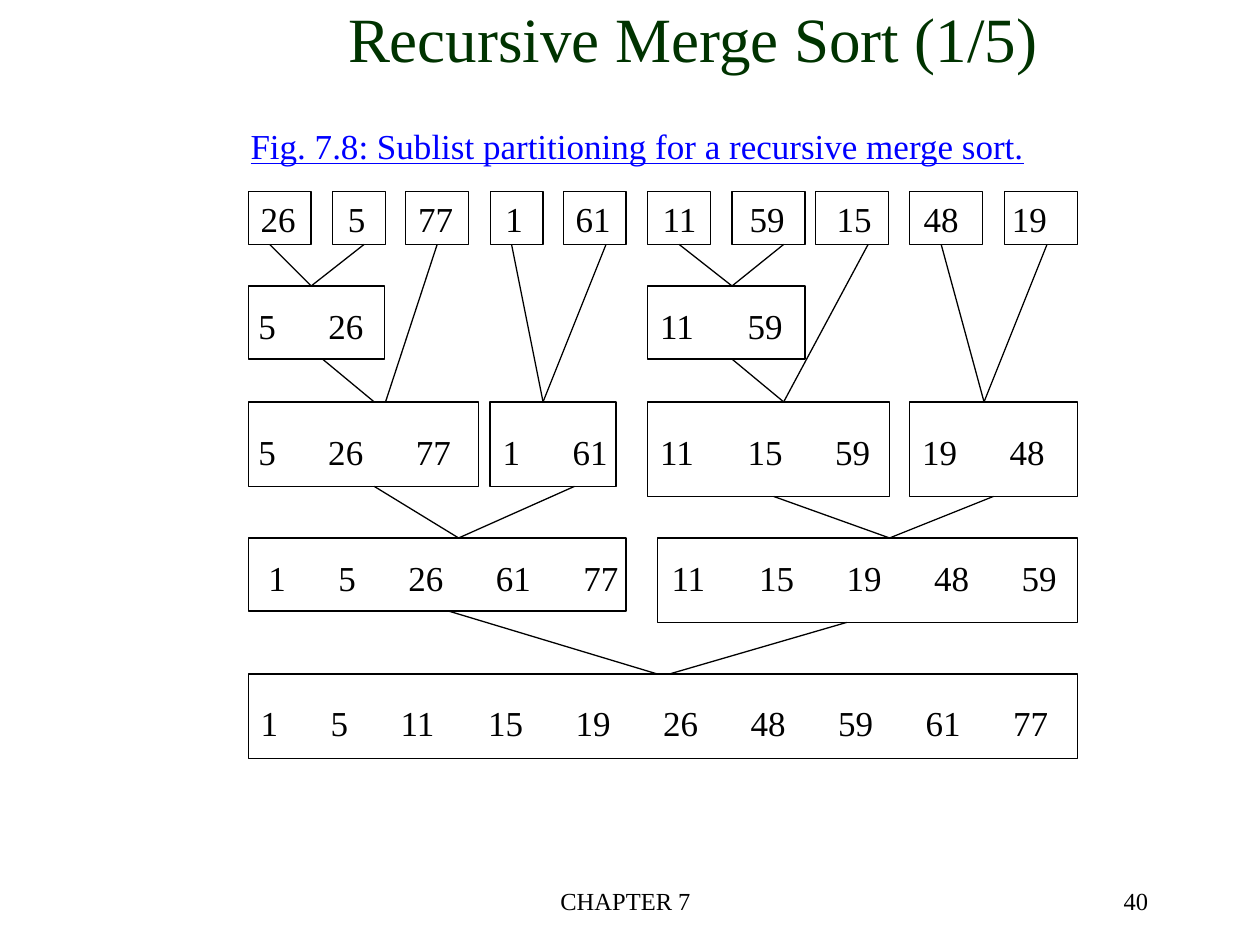
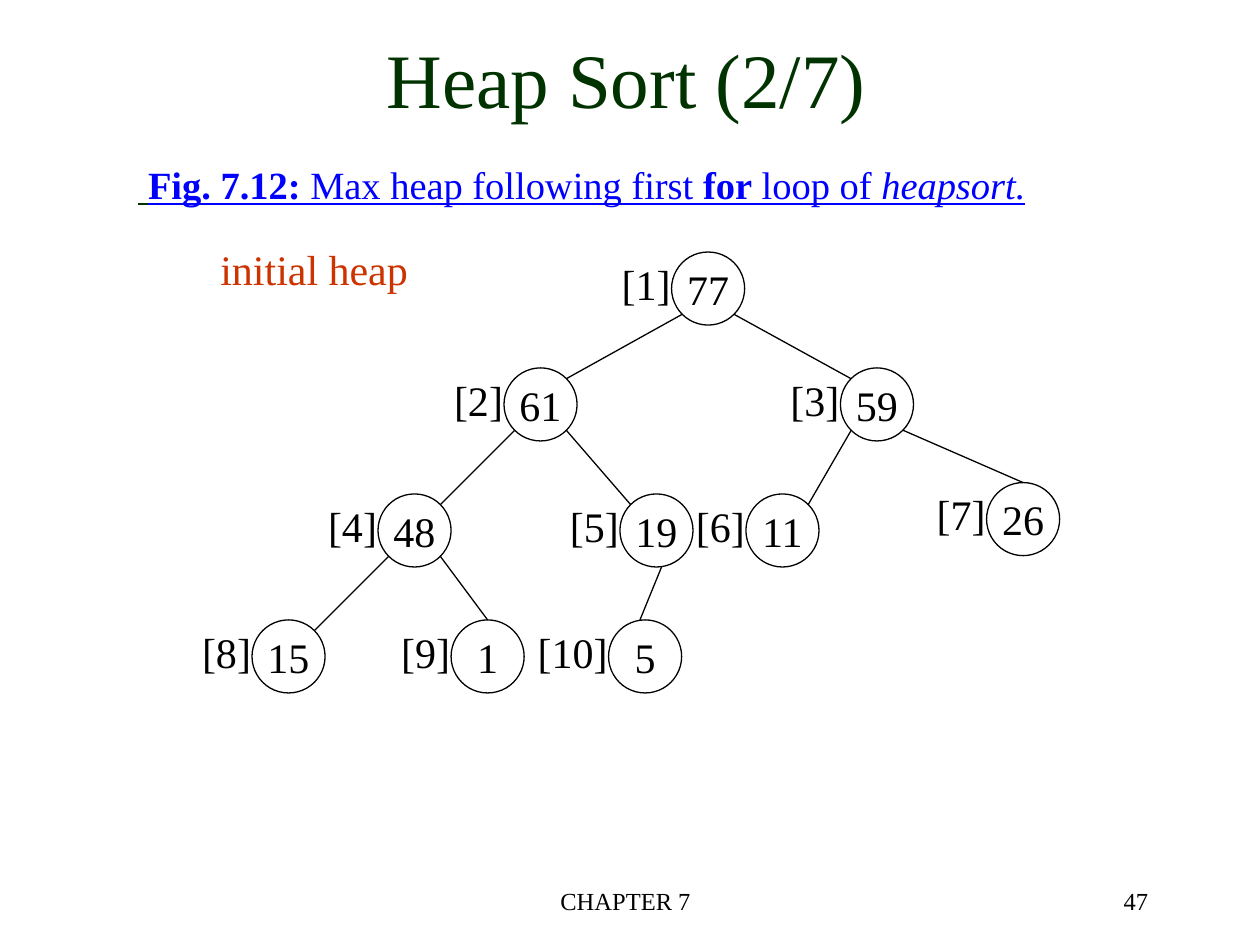
from itertools import accumulate

from lxml.etree import SubElement
from pptx import Presentation
from pptx.dml.color import RGBColor
from pptx.enum.shapes import MSO_CONNECTOR, MSO_SHAPE
from pptx.enum.text import MSO_ANCHOR, MSO_AUTO_SIZE, PP_ALIGN
from pptx.oxml.ns import qn
from pptx.util import Inches, Pt

BLACK = RGBColor(0x00, 0x00, 0x00)
DARK_GREEN = RGBColor(0x00, 0x33, 0x00)
BLUE = RGBColor(0x00, 0x00, 0xFF)
ORANGE_RED = RGBColor(0xCC, 0x33, 0x00)
FONT = "Times New Roman"
LINE_WIDTH = Pt(0.75)
TITLE_ONLY = 5

# Merge tree: row top, text inset, then boxes as (left, width, height, inset, values)
LIST_ROWS = [
    (0, 0.05, [
        (0, 0.5, 0.42, 0.1, [26]), (0.67, 0.42, 0.42, 0.12, [5]),
        (1.25, 0.5, 0.42, 0.1, [77]), (1.92, 0.42, 0.42, 0.12, [1]),
        (2.5, 0.5, 0.42, 0.1, [61]), (3.17, 0.5, 0.42, 0.12, [11]),
        (3.84, 0.58, 0.42, 0.14, [59]), (4.5, 0.58, 0.42, 0.17, [15]),
        (5.25, 0.58, 0.42, 0.11, [48]), (6, 0.58, 0.42, 0.06, [19])]),
    (0.75, 0.15, [
        (0, 1.08, 0.58, 0.08, [5, 26]), (3.17, 1.25, 0.58, 0.1, [11, 59])]),
    (1.67, 0.23, [
        (0, 1.83, 0.67, 0.08, [5, 26, 77]), (1.92, 1, 0.67, 0.1, [1, 61]),
        (3.17, 1.92, 0.75, 0.1, [11, 15, 59]), (5.25, 1.33, 0.75, 0.1, [19, 48])]),
    (2.75, 0.15, [
        (0, 3, 0.58, 0.16, [1, 5, 26, 61, 77]),
        (3.25, 3.33, 0.67, 0.11, [11, 15, 19, 48, 59])]),
    (3.83, 0.22, [
        (0, 6.58, 0.67, 0.1, [1, 5, 11, 15, 19, 26, 48, 59, 61, 77])]),
]
# (source row, source box, x) to (merged row, merged box, x)
MERGES = [
    ((0, 0, 0.17), (1, 0, 0.5)), ((0, 1, 0.92), (1, 0, 0.5)),
    ((0, 5, 3.42), (1, 1, 3.84)), ((0, 6, 4.25), (1, 1, 3.84)),
    ((1, 0, 0.59), (2, 0, 1)), ((0, 2, 1.5), (2, 0, 1.09)),
    ((0, 3, 2.09), (2, 1, 2.34)), ((0, 4, 2.84), (2, 1, 2.34)),
    ((1, 1, 3.84), (2, 2, 4.25)), ((0, 7, 4.92), (2, 2, 4.25)),
    ((0, 8, 5.5), (2, 3, 5.84)), ((0, 9, 6.34), (2, 3, 5.84)),
    ((2, 0, 1), (3, 0, 1.67)), ((2, 1, 2.59), (3, 0, 1.67)),
    ((2, 2, 4.17), (3, 1, 5.09)), ((2, 3, 5.92), (3, 1, 5.09)),
    ((3, 0, 1.59), (4, 0, 3.25)), ((3, 1, 4.75), (4, 0, 3.34)),
]

# Heap nodes in index order: value, left, top
HEAP_NODES = [
    (77, 3.33, 0), (61, 2, 0.92), (59, 4.67, 0.92), (48, 1, 1.92),
    (19, 2.92, 1.92), (11, 3.92, 1.92), (26, 5.83, 1.83),
    (15, 0, 2.92), (1, 1.58, 2.92), (5, 2.83, 2.92),
]
NODE_SIZE = 0.58
# Points on a node, as fractions of its size
TOP = (0.5, 0)
TOP_LEFT, TOP_RIGHT = (0.15, 0.15), (0.85, 0.15)
BOTTOM_LEFT, BOTTOM_RIGHT = (0.15, 0.85), (0.85, 0.85)
# Edges that do not run from corner to corner: child index to its two ends
SPECIAL_EDGES = {
    7: (BOTTOM_RIGHT, TOP),
    9: (BOTTOM_RIGHT, TOP),
    10: ((0.57, 1), (0.43, 0)),
}


def style(font, size, color):
    font.name = FONT
    font.size = Pt(size)
    font.color.rgb = color


def add_text(slide, box, text, size, color=BLACK, align=PP_ALIGN.LEFT):
    text_box = slide.shapes.add_textbox(*map(Inches, box))
    text_box.text_frame.word_wrap = True
    paragraph = text_box.text_frame.paragraphs[0]
    paragraph.text = text
    paragraph.alignment = align
    style(paragraph.font, size, color)
    return text_box


def add_outline(slide, kind, left, top, width, height):
    shape = slide.shapes.add_shape(kind, *map(Inches, (left, top, width, height)))
    shape.shadow.inherit = False
    shape.fill.background()
    shape.line.color.rgb = BLACK
    shape.line.width = LINE_WIDTH
    return shape


def add_line(slide, start, end):
    line = slide.shapes.add_connector(
        MSO_CONNECTOR.STRAIGHT, *map(Inches, (*start, *end)))
    line.line.color.rgb = BLACK
    line.line.width = LINE_WIDTH
    SubElement(line._element.spPr, qn("a:effectLst"))
    return line


def add_titled_slide(presentation, title, box, size, number):
    slide = presentation.slides.add_slide(presentation.slide_layouts[TITLE_ONLY])
    shape = slide.shapes.title
    shape.left, shape.top, shape.width, shape.height = map(Inches, box)
    frame = shape.text_frame
    frame.text = title
    frame.auto_size = MSO_AUTO_SIZE.NONE
    frame.vertical_anchor = MSO_ANCHOR.MIDDLE
    paragraph = frame.paragraphs[0]
    paragraph.alignment = PP_ALIGN.CENTER
    style(paragraph.font, size, DARK_GREEN)
    add_text(slide, (3.38, 6.98, 3.17, 0.5), "CHAPTER 7", 14, align=PP_ALIGN.CENTER)
    add_text(slide, (7.13, 6.98, 2.08, 0.5), str(number), 14, align=PP_ALIGN.RIGHT)
    return slide


def add_list_box(slide, box, text_left, text_top, values):
    """Draw one sublist, its values spaced by tab stops."""
    shape = add_outline(slide, MSO_SHAPE.RECTANGLE, *box)
    frame = shape.text_frame
    frame.word_wrap = True
    frame.vertical_anchor = MSO_ANCHOR.TOP
    frame.margin_left, frame.margin_top = Inches(text_left), Inches(text_top)
    frame.margin_right = frame.margin_bottom = 0
    paragraph = frame.paragraphs[0]
    paragraph.text = "\t".join(map(str, values))
    paragraph.alignment = PP_ALIGN.LEFT
    if len(values) > 1:
        tab_list = SubElement(paragraph._p.get_or_add_pPr(), qn("a:tabLst"))
        # A digit is 10 points wide and the gap between values 30
        for stop in accumulate(10 * len(str(value)) + 30 for value in values[:-1]):
            SubElement(tab_list, qn("a:tab"), pos=str(Pt(stop)), algn="l")
    style(paragraph.font, 20, BLACK)
    return shape


def is_middle(shape, x):
    return abs(shape.left + shape.width / 2 - Inches(x)) < Inches(0.02)


def draw_merge_tree(slide, left, top):
    boxes = {}
    for row, (row_top, text_top, lists) in enumerate(LIST_ROWS):
        for column, (box_left, width, height, text_left, values) in enumerate(lists):
            boxes[row, column] = add_list_box(
                slide, (left + box_left, top + row_top, width, height),
                text_left, text_top, values)
    for (*source_key, source_x), (*merged_key, merged_x) in MERGES:
        source, merged = boxes[tuple(source_key)], boxes[tuple(merged_key)]
        start_x, end_x = left + source_x, left + merged_x
        source_bottom = source.top.inches + source.height.inches
        line = add_line(slide, (start_x, source_bottom), (end_x, merged.top.inches))
        if is_middle(source, start_x):
            line.begin_connect(source, 2)
        if is_middle(merged, end_x):
            line.end_connect(merged, 0)


def draw_heap(slide, left, top):
    for index, (value, x, y) in enumerate(HEAP_NODES, start=1):
        node_left, node_top = left + x, top + y
        node = add_outline(slide, MSO_SHAPE.OVAL, node_left, node_top,
                           NODE_SIZE, NODE_SIZE)
        frame = node.text_frame
        frame.word_wrap = False
        frame.vertical_anchor = MSO_ANCHOR.MIDDLE
        paragraph = frame.paragraphs[0]
        paragraph.text = str(value)
        paragraph.alignment = PP_ALIGN.CENTER
        style(paragraph.font, 24, BLACK)
        add_text(slide, (node_left - 0.76, node_top, 0.85, 0.5), f"[{index}]", 24,
                 align=PP_ALIGN.RIGHT)

    def point(index, fraction):
        _, x, y = HEAP_NODES[index - 1]
        return (left + x + fraction[0] * NODE_SIZE, top + y + fraction[1] * NODE_SIZE)

    for child in range(2, len(HEAP_NODES) + 1):
        corners = (BOTTOM_RIGHT, TOP_LEFT) if child % 2 else (BOTTOM_LEFT, TOP_RIGHT)
        start, end = SPECIAL_EDGES.get(child, corners)
        add_line(slide, point(child // 2, start), point(child, end))


def build_merge_sort_slide(presentation):
    slide = add_titled_slide(presentation, "Recursive Merge Sort (1/5)",
                             (1.25, -0.33, 8.5, 1.25), 36, 40)
    draw_merge_tree(slide, 1.97, 1.52)
    caption = add_text(slide, (1.89, 0.94, 6.54, 0.44),
                       "Fig. 7.8: Sublist partitioning for a recursive merge sort.",
                       20, BLUE)
    caption.text_frame.paragraphs[0].font.underline = True


def build_heap_sort_slide(presentation):
    slide = add_titled_slide(presentation, "Heap Sort (2/7)",
                             (2.47, 0.2, 5, 0.84), 44, 47)
    caption = add_text(slide, (1, 1.17, 7.42, 0.58), "", 22, BLUE)
    caption.text_frame.vertical_anchor = MSO_ANCHOR.MIDDLE
    paragraph = caption.text_frame.paragraphs[0]
    paragraph.font.underline = True
    for text, color, bold, italic in [
            (" ", DARK_GREEN, True, False),
            ("Fig. 7.12: ", BLUE, True, False),
            ("Max heap following first ", BLUE, False, False),
            ("for", BLUE, True, False),
            (" loop of ", BLUE, False, False),
            ("heapsort.", BLUE, False, True)]:
        run = paragraph.add_run()
        run.text = text
        run.font.color.rgb = color
        run.font.bold = bold
        run.font.italic = italic
    add_text(slide, (1.65, 1.88, 1.89, 0.5), "initial heap", 24, ORANGE_RED)
    draw_heap(slide, 2, 2)


def main():
    presentation = Presentation()
    presentation.slide_width, presentation.slide_height = Inches(10), Inches(7.5)
    build_merge_sort_slide(presentation)
    build_heap_sort_slide(presentation)
    presentation.save("out.pptx")


if __name__ == "__main__":
    main()
